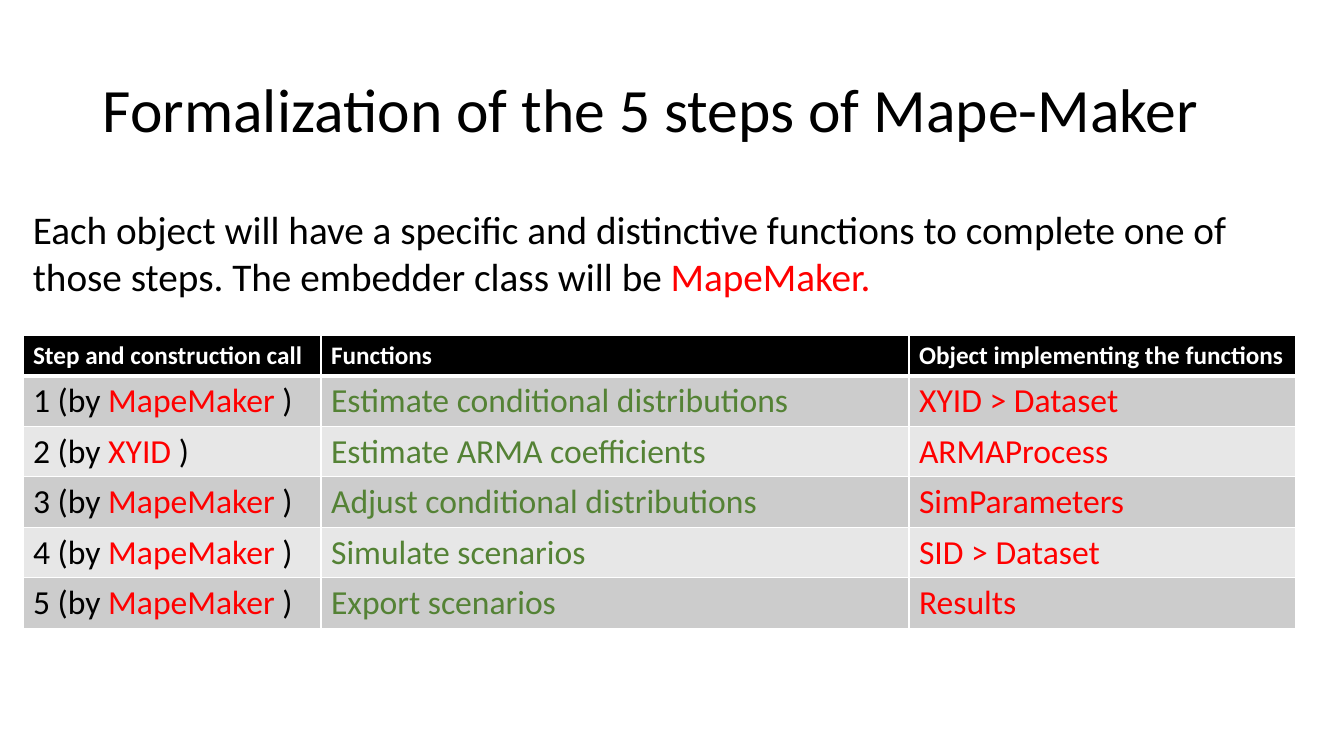
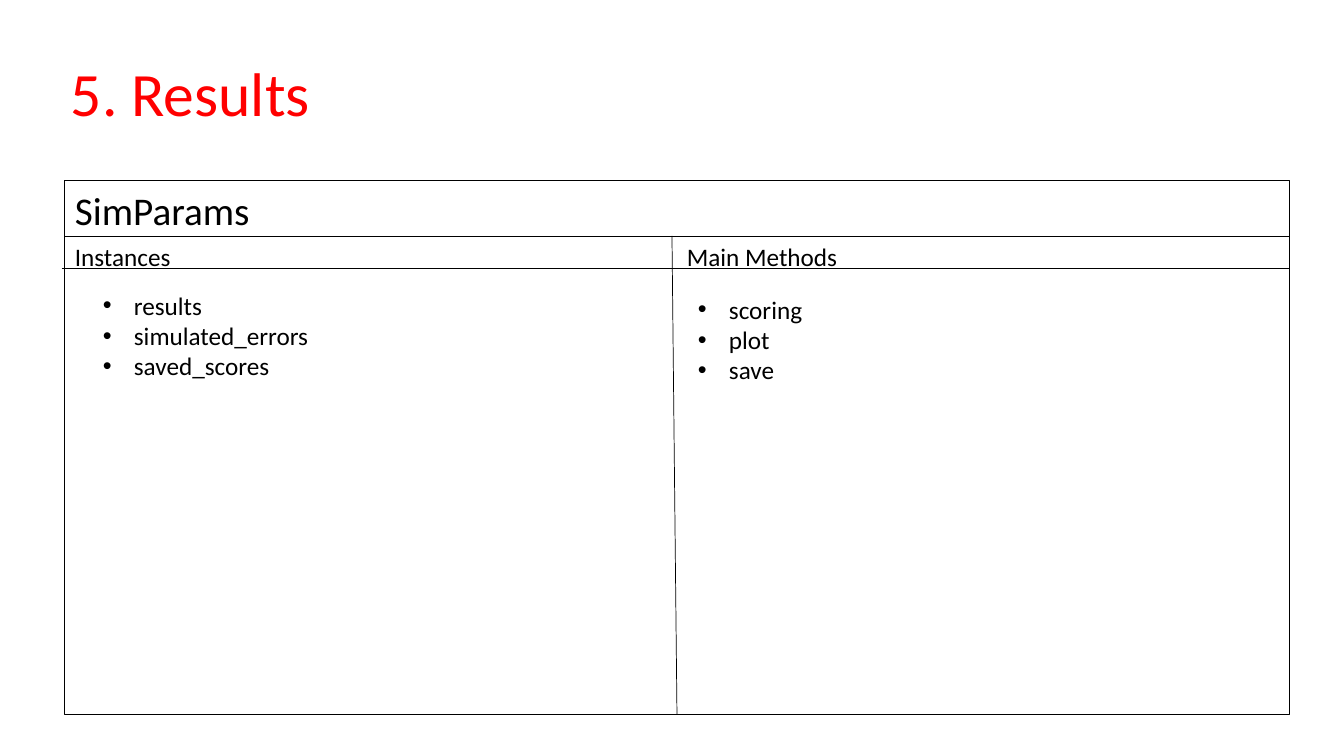
from lxml import etree
from pptx import Presentation
from pptx.dml.color import RGBColor
from pptx.enum.shapes import MSO_CONNECTOR, MSO_SHAPE
from pptx.enum.text import MSO_ANCHOR
from pptx.oxml.ns import qn
from pptx.util import Pt

SCALE = 914400 / 100.8
FONT = "Calibri"
BLACK = RGBColor(0x00, 0x00, 0x00)
WHITE = RGBColor(0xFF, 0xFF, 0xFF)
RED = RGBColor(0xFF, 0x00, 0x00)
GREEN = RGBColor(0x54, 0x82, 0x35)
DARK_BAND = RGBColor(0xCC, 0xCC, 0xCC)
LIGHT_BAND = RGBColor(0xE7, 0xE7, 0xE7)
STRAIGHT = MSO_CONNECTOR.STRAIGHT
RECTANGLE = MSO_SHAPE.RECTANGLE
TOP = MSO_ANCHOR.TOP
MIDDLE = MSO_ANCHOR.MIDDLE


def emu(pixels):
    return round(pixels * SCALE)


def write(para, text, size=18, color=BLACK, bold=False):
    pieces = [(text, color)] if isinstance(text, str) else text
    for words, tint in pieces:
        span = para.add_run()
        span.text = words
        span.font.name = FONT
        span.font.size = Pt(size)
        span.font.bold = bold
        span.font.color.rgb = tint


def add_bullet(para):
    properties = para._p.get_or_add_pPr()
    indent = emu(31)
    properties.set("marL", str(indent))
    properties.set("indent", str(-indent))
    etree.SubElement(properties, qn("a:buFont"), typeface="Arial")
    etree.SubElement(properties, qn("a:buChar"), char="•")


def set_borders(cell, color, bottom):
    properties = cell._tc.get_or_add_tcPr()
    for index, (side, width) in enumerate([("L", 1), ("R", 1), ("T", 1), ("B", bottom)]):
        line = etree.Element(qn(f"a:ln{side}"), w=str(Pt(width)))
        fill = etree.SubElement(line, qn("a:solidFill"))
        etree.SubElement(fill, qn("a:srgbClr"), val=str(color))
        properties.insert(index, line)


class Deck:
    def __init__(self):
        self.file = Presentation()
        self.file.slide_width = emu(1344)
        self.file.slide_height = emu(756)
        self.page = None

    def add_page(self):
        self.page = self.file.slides.add_slide(self.file.slide_layouts[6])

    def text(self, area, lines, wrap=True, anchor=TOP, spacing=None, bullets=False, **style):
        box = self.page.shapes.add_textbox(*map(emu, area))
        frame = box.text_frame
        frame.word_wrap = wrap
        frame.vertical_anchor = anchor
        for index, line in enumerate(lines):
            para = frame.paragraphs[0] if index == 0 else frame.add_paragraph()
            if spacing:
                para.line_spacing = spacing
            if bullets:
                add_bullet(para)
            write(para, line, **style)

    def title(self, left, top, text, color=BLACK):
        self.text((left, top, 1159, 146), [text], anchor=MIDDLE, spacing=0.9,
                  size=44, color=color)

    def label(self, area, text, size=18):
        self.text(area, [text], wrap=False, size=size)

    def bullet_list(self, area, items):
        self.text(area, items, wrap=False, bullets=True)

    def frame(self, area):
        shape = self.page.shapes.add_shape(RECTANGLE, *map(emu, area))
        shape.shadow.inherit = False
        shape.fill.background()
        shape.line.color.rgb = BLACK
        shape.line.width = Pt(0.75)

    def rule(self, *ends):
        line = self.page.shapes.add_connector(STRAIGHT, *map(emu, ends))
        line.line.color.rgb = BLACK
        line.line.width = Pt(0.5)
        etree.SubElement(line._element.spPr, qn("a:effectLst"))

    def table(self, left, top, widths, heights, header, body):
        area = (left, top, sum(widths), sum(heights))
        grid = self.page.shapes.add_table(len(heights), len(widths), *map(emu, area)).table
        for column, width in zip(grid.columns, widths):
            column.width = emu(width)
        for row, height in zip(grid.rows, heights):
            row.height = emu(height)
        for row, texts in enumerate([header] + body):
            heading = row == 0
            band = BLACK if heading else DARK_BAND if row % 2 else LIGHT_BAND
            for column, text in enumerate(texts):
                cell = grid.cell(row, column)
                cell.fill.solid()
                cell.fill.fore_color.rgb = band
                set_borders(cell, WHITE, bottom=3 if heading else 1)
                write(cell.text_frame.paragraphs[0], text, size=18 if heading else 24,
                      color=WHITE, bold=heading)


STEPS = [
    ("MapeMaker", "Estimate conditional distributions", "XYID > Dataset"),
    ("XYID", "Estimate ARMA coefficients", "ARMAProcess"),
    ("MapeMaker", "Adjust conditional distributions", "SimParameters"),
    ("MapeMaker", "Simulate scenarios", "SID > Dataset"),
    ("MapeMaker", "Export scenarios", "Results"),
]


def build_steps(deck):
    deck.add_page()
    deck.title(93, 40, "Formalization of the 5 steps of Mape-Maker")
    intro = [
        ("Each object will have a specific and distinctive functions to complete "
         "one of those steps. The embedder class will be ", BLACK),
        ("MapeMaker.", RED),
    ]
    deck.text((23, 200, 1298, 105), [intro], size=28)
    body = [
        [[(f"{number} (by ", BLACK), (f"{caller} ", RED), (")", BLACK)],
         [(function, GREEN)], [(owner, RED)]]
        for number, (caller, function, owner) in enumerate(STEPS, 1)
    ]
    header = ["Step and construction call", "Functions", "Object implementing the functions"]
    deck.table(23, 335, [298, 588, 387], [41] + [50] * len(STEPS), header, body)


def build_results(deck):
    left, top, right, bottom = 65, 181, 1290, 715
    name_line, heading_line = 236, 268
    deck.add_page()
    deck.frame((left, top, right - left, bottom - top))
    deck.label((left, top, 197, 57), "SimParams", size=28)
    deck.rule(left, name_line, right, name_line)
    deck.rule(672, name_line, 677, bottom)
    deck.label((left, name_line, 117, 32), "Instances")
    deck.label((677, name_line, 172, 32), "Main Methods")
    deck.rule(62, heading_line, right, heading_line)
    deck.title(61, 24, "5. Results", color=RED)
    deck.bullet_list((93, 285, 228, 102), ["results", "simulated_errors", "saved_scores"])
    deck.bullet_list((688, 289, 126, 163), ["scoring", "plot", "save"])


deck = Deck()
build_steps(deck)
build_results(deck)
deck.file.save("out.pptx")
